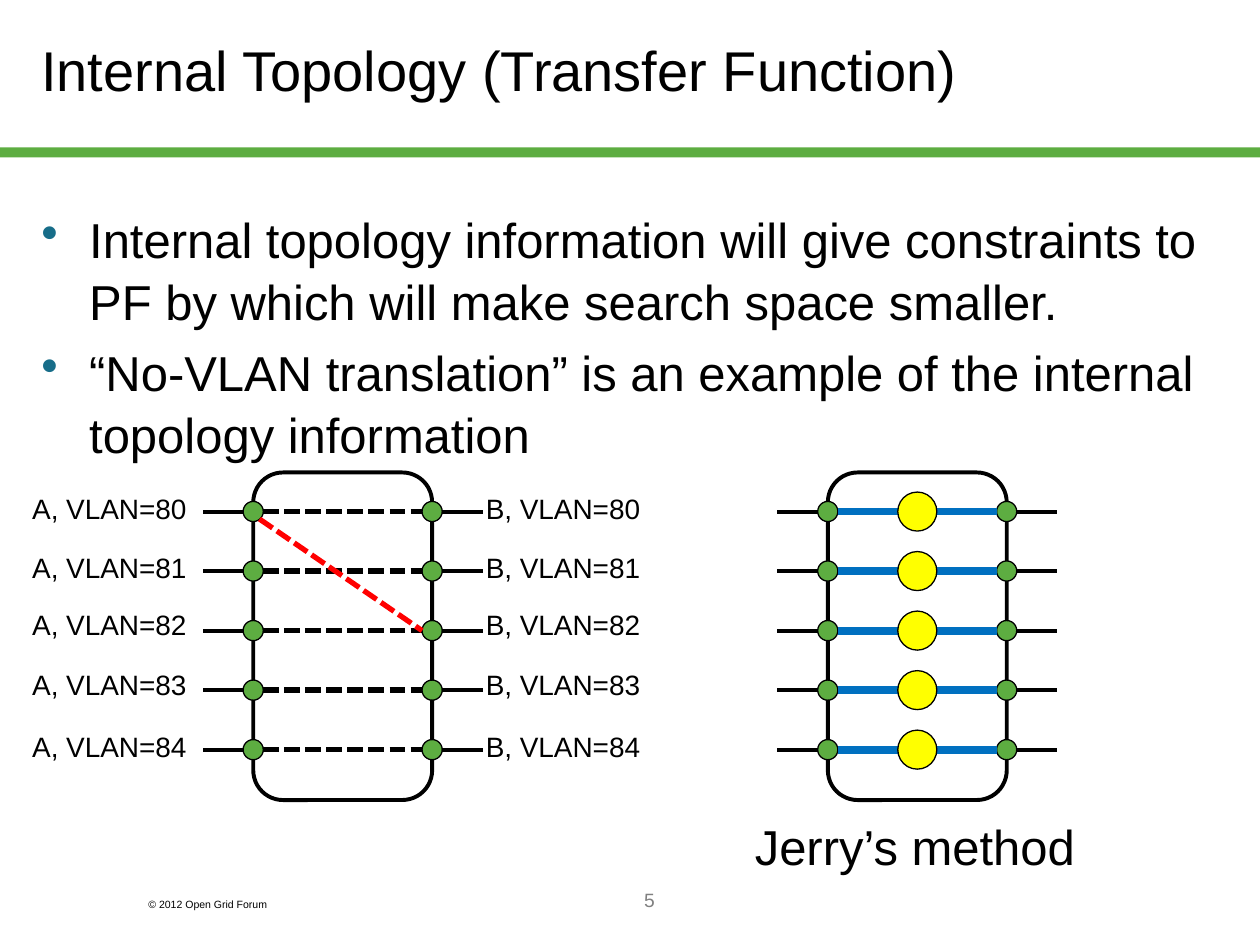
from lxml import etree
from pptx import Presentation
from pptx.dml.color import RGBColor
from pptx.enum.dml import MSO_LINE_DASH_STYLE as Dash
from pptx.enum.shapes import MSO_CONNECTOR as Connector, MSO_SHAPE as Shape
from pptx.enum.text import MSO_ANCHOR as Anchor, PP_ALIGN as Align
from pptx.oxml.ns import qn
from pptx.util import Inches, Pt

BLACK = RGBColor(0x00, 0x00, 0x00)
GRAY = RGBColor(0x80, 0x80, 0x80)
GREEN = RGBColor(0x5D, 0xAD, 0x41)
YELLOW = RGBColor(0xFF, 0xFF, 0x00)
RED = RGBColor(0xFF, 0x00, 0x00)
BLUE = RGBColor(0x00, 0x70, 0xC0)
BULLET_COLOR = "176D89"

FONT = "Arial"
VLANS = range(80, 85)
LABEL_OFFSETS = (0.10, 0.57, 1.02, 1.50, 1.99)
ROW_TOP, ROW_STEP = 0.31, 0.4725
PORT, NODE, STUB = 0.16, 0.31, 0.32
BULLETS = (
    "Internal topology information will give constraints to PF by which "
    "will make search space smaller.",
    "“No-VLAN translation” is an example of the internal topology information",
)


def style_paragraph(para, size, color=BLACK, align=Align.LEFT):
    """Set the font and alignment of a paragraph."""
    para.alignment = align
    para.font.name, para.font.size = FONT, Pt(size)
    para.font.color.rgb = color


def add_text(page, box, text, size, color=BLACK, align=Align.LEFT,
             anchor=Anchor.TOP, wrap=True):
    """Add a one-paragraph text box."""
    frame = page.shapes.add_textbox(*map(Inches, box)).text_frame
    frame.word_wrap, frame.vertical_anchor = wrap, anchor
    frame.text = text
    style_paragraph(frame.paragraphs[0], size, color, align)


def add_figure(page, kind, box, fill=None, line=None, width=0.75):
    """Add a preset shape with an optional fill and outline."""
    shape = page.shapes.add_shape(kind, *map(Inches, box))
    shape.shadow.inherit = False
    if fill is None:
        shape.fill.background()
    else:
        shape.fill.solid()
        shape.fill.fore_color.rgb = fill
    if line is None:
        shape.line.fill.background()
    else:
        shape.line.color.rgb, shape.line.width = line, Pt(width)


def add_circle(page, x, y, size, fill):
    """Add an outlined circle centred on a point."""
    box = (x - size / 2, y - size / 2, size, size)
    add_figure(page, Shape.OVAL, box, fill, BLACK)


def add_line(page, start, end, color=BLACK, width=2.25, dash=None):
    """Add a straight line between two points."""
    line = page.shapes.add_connector(
        Connector.STRAIGHT, *map(Inches, (*start, *end)))
    line.line.color.rgb, line.line.width = color, Pt(width)
    if dash:
        line.line.dash_style = dash
    etree.SubElement(line._element.spPr, qn("a:effectLst"))


def add_header(page, box):
    """Place the title with the green rule below it."""
    left, top, width, height = box
    add_text(page, (left + 0.23, top, 8.5, 1.09),
             "Internal Topology (Transfer Function)", 32, anchor=Anchor.MIDDLE)
    add_figure(page, Shape.RECTANGLE,
               (left, top + height - 0.08, width, 0.08), GREEN)


def add_bullets(page, box):
    """Place the bulleted statements."""
    frame = page.shapes.add_textbox(*map(Inches, box)).text_frame
    frame.word_wrap, frame.margin_top = True, Inches(0.08)
    for index, text in enumerate(BULLETS):
        para = frame.add_paragraph() if index else frame.paragraphs[0]
        para.text = text
        para.line_spacing = 1.05
        para.space_before = Pt(5.6 if index else 0)
        props = para._p.get_or_add_pPr()
        props.set("marL", str(Inches(0.38)))
        props.set("indent", str(-Inches(0.38)))
        color = etree.SubElement(props, qn("a:buClr"))
        etree.SubElement(color, qn("a:srgbClr"), val=BULLET_COLOR)
        etree.SubElement(props, qn("a:buChar"), char="•")
        style_paragraph(para, 28)


def add_switch(page, box):
    """Place a switch outline with its ports and stubs, and return the row heights."""
    left, top, width, _ = box
    right = left + width
    rows = [top + ROW_TOP + ROW_STEP * index for index in range(len(VLANS))]
    add_figure(page, Shape.ROUNDED_RECTANGLE, box, line=BLACK, width=2.25)
    for y in rows:
        for x, side in ((left, -1), (right, 1)):
            edge = x + side * PORT / 2
            add_circle(page, x, y, PORT, GREEN)
            add_line(page, (edge, y), (edge + side * STUB, y))
    return rows


def add_vlan_switch(page, box):
    """Place the labelled switch whose ports join without VLAN translation."""
    left, top, width, _ = box
    start, end = left + PORT / 2, left + width - PORT / 2
    rows = add_switch(page, box)
    for vlan, y, offset in zip(VLANS, rows, LABEL_OFFSETS):
        add_line(page, (start, y), (end, y), width=3, dash=Dash.SQUARE_DOT)
        for name, x in (("A", left - 1.87), ("B", left + 1.73)):
            add_text(page, (x, top + offset, 1.44, 0.37),
                     f"{name}, VLAN={vlan}", 16, align=Align.RIGHT, wrap=False)
    add_line(page, (left + 0.05, rows[0] + 0.06), (end, rows[2]),
             RED, 3, Dash.SQUARE_DOT)


def add_node_switch(page, box):
    """Place the switch with inner nodes and its caption."""
    left, top, width, height = box
    right, center = left + width, left + width / 2
    for y in add_switch(page, box):
        add_line(page, (left + PORT / 2, y), (center - NODE / 2, y), BLUE, 4.5)
        add_line(page, (center + NODE / 2, y), (right - PORT / 2, y), BLUE, 4.5)
        add_circle(page, center, y, NODE, YELLOW)
    add_text(page, (left - 0.7, top + height + 0.08, 2.78, 0.57),
             "Jerry’s method", 28, align=Align.CENTER, wrap=False)


def add_footer(page, box):
    """Place the copyright line and the page number."""
    left, top, _, height = box
    add_text(page, (left, top + 0.08, 1.5, 0.2), "© 2012 Open Grid Forum", 6)
    add_text(page, (left + 1.16, top, 5.83, height), "5", 11, GRAY, Align.CENTER)


def main():
    """Build the slide and save it."""
    deck = Presentation()
    deck.slide_width, deck.slide_height = Inches(10), Inches(7.5)
    page = deck.slides.add_slide(deck.slide_layouts[6])
    add_header(page, (0, 0, 10, 1.25))
    add_bullets(page, (0.23, 1.56, 9.53, 2.42))
    add_vlan_switch(page, (2.01, 3.75, 1.42, 2.6))
    add_node_switch(page, (6.57, 3.75, 1.42, 2.6))
    add_footer(page, (1.08, 7, 6.99, 0.5))
    deck.save("out.pptx")


if __name__ == "__main__":
    main()
